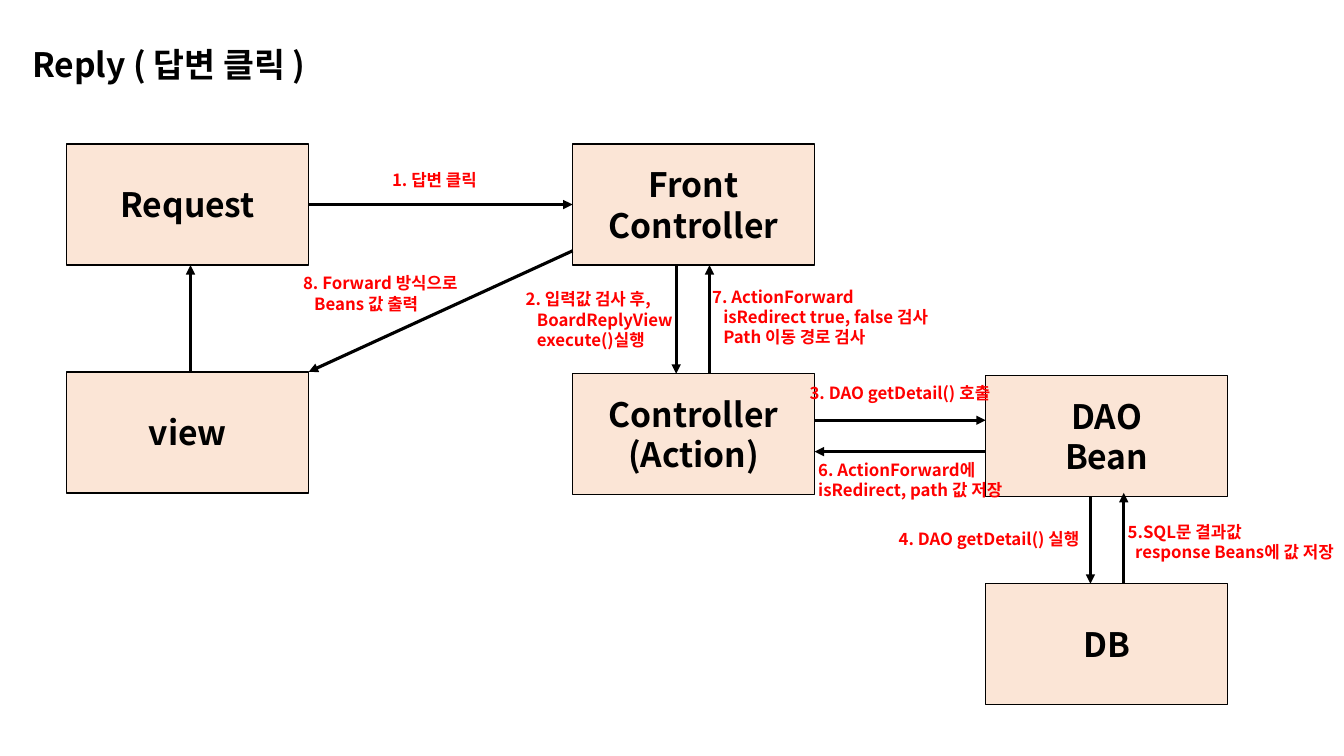
from pptx import Presentation
from pptx.dml.color import RGBColor
from pptx.enum import shapes, text
from pptx.oxml.ns import qn
from pptx.util import Cm, Pt
from lxml import etree

FONT = "Noto Sans CJK KR"
BLACK, RED, PEACH = "000000", "FF0000", "FBE5D6"
BOX_W, BOX_H = 6.1, 3.05
LEFT, MIDDLE, RIGHT = 1.68, 14.43, 24.84

TITLE = "Reply ( 답변 클릭 )"
BOXES = {
    "request": ("Request", LEFT, 3.63),
    "front": ("Front\nController", MIDDLE, 3.63),
    "view": ("view", LEFT, 9.37),
    "action": ("Controller\n(Action)", MIDDLE, 9.42),
    "dao": ("DAO\nBean", RIGHT, 9.47),
    "db": ("DB", RIGHT, 14.71),
}
# (lines, left, top, width, height, centred, indent of the lines after the first)
LABELS = [
    ("1. 답변 클릭", 9.5, 4.14, 2.9, 0.76, True, 0),
    ("2. 입력값 검사 후,\nBoardReplyView\nexecute()실행", 13.0, 7.16, 4.45, 1.8, False, 0.28),
    ("3. DAO getDetail() 호출", 20.04, 9.53, 5.28, 0.76, True, 0),
    ("4. DAO getDetail() 실행", 22.4, 13.21, 5.28, 0.76, False, 0),
    ("5.SQL문 결과값\nresponse Beans에 값 저장", 28.17, 13.03, 6.0, 1.27, False, 0.19),
    ("6. ActionForward에\nisRedirect, path 값 저장", 20.37, 11.46, 5.26, 1.27, False, 0),
    ("7. ActionForward\nisRedirect true, false 검사\nPath 이동 경로 검사", 17.7, 7.09, 6.2, 1.8, False, 0.28),
    ("8. Forward 방식으로\nBeans 값 출력", 7.39, 6.76, 4.65, 1.27, False, 0.28),
]


def color(value):
    return RGBColor.from_string(value)


def write(shape, words, size, tint, centred=False, indent=0):
    frame = shape.text_frame
    frame.text = words
    frame.word_wrap = True
    frame.auto_size = text.MSO_AUTO_SIZE.NONE
    for number, para in enumerate(frame.paragraphs):
        para.alignment = text.PP_ALIGN.CENTER if centred else text.PP_ALIGN.LEFT
        if number and indent:
            para._p.get_or_add_pPr().set("marL", str(Cm(indent)))
        for span in para.runs:
            span.font.size = Pt(size)
            span.font.bold = True
            span.font.name = FONT
            span.font.color.rgb = color(tint)
            east = etree.SubElement(span.font._element, qn("a:ea"))
            east.set("typeface", FONT)


def add_box(page, words, left, top):
    box = page.shapes.add_shape(shapes.MSO_SHAPE.RECTANGLE, Cm(left), Cm(top), Cm(BOX_W), Cm(BOX_H))
    box.shadow.inherit = False
    box.fill.solid()
    box.fill.fore_color.rgb = color(PEACH)
    box.line.color.rgb = color(BLACK)
    box.line.width = Pt(1)
    box.text_frame.vertical_anchor = text.MSO_ANCHOR.MIDDLE
    write(box, words, 24, BLACK, True)


def add_arrow(page, x1, y1, x2, y2):
    arrow = page.shapes.add_connector(shapes.MSO_CONNECTOR.STRAIGHT, Cm(x1), Cm(y1), Cm(x2), Cm(y2))
    arrow.line.color.rgb = color(BLACK)
    arrow.line.width = Pt(2.25)
    etree.SubElement(arrow.line._get_or_add_ln(), qn("a:tailEnd")).set("type", "triangle")
    etree.SubElement(arrow._element.spPr, qn("a:effectLst"))


def top(name):
    return BOXES[name][2]


def bottom(name):
    return top(name) + BOX_H


def main():
    deck = Presentation()
    deck.slide_width, deck.slide_height = Cm(33.87), Cm(19.05)
    page = deck.slides.add_slide(deck.slide_layouts[5])

    title = page.shapes.title
    title.left, title.top, title.width, title.height = Cm(0.56), Cm(0.99), Cm(17.12), Cm(1.27)
    title.text_frame.vertical_anchor = text.MSO_ANCHOR.TOP
    write(title, TITLE, 24, BLACK)

    for words, left, y in BOXES.values():
        add_box(page, words, left, y)

    left_edge, middle_edge = LEFT + BOX_W, MIDDLE + BOX_W
    request_y = top("request") + BOX_H / 2
    view_x = LEFT + BOX_W / 2 + 0.07
    arrows = [
        (left_edge, request_y, MIDDLE, request_y),
        (MIDDLE, bottom("front") - 0.36, left_edge, top("view")),
        (middle_edge, 10.59, RIGHT, 10.59),
        (RIGHT, 11.38, middle_edge, 11.38),
        (17.04, bottom("front"), 17.04, top("action")),
        (17.88, top("action"), 17.88, bottom("front")),
        (27.48, bottom("dao"), 27.48, top("db")),
        (28.32, top("db"), 28.32, bottom("dao") - 0.1),
        (view_x, top("view"), view_x, bottom("request")),
    ]
    for ends in arrows:
        add_arrow(page, *ends)

    for words, left, y, width, height, centred, indent in LABELS:
        label = page.shapes.add_textbox(Cm(left), Cm(y), Cm(width), Cm(height))
        write(label, words, 12, RED, centred, indent)

    deck.save("out.pptx")


if __name__ == "__main__":
    main()
